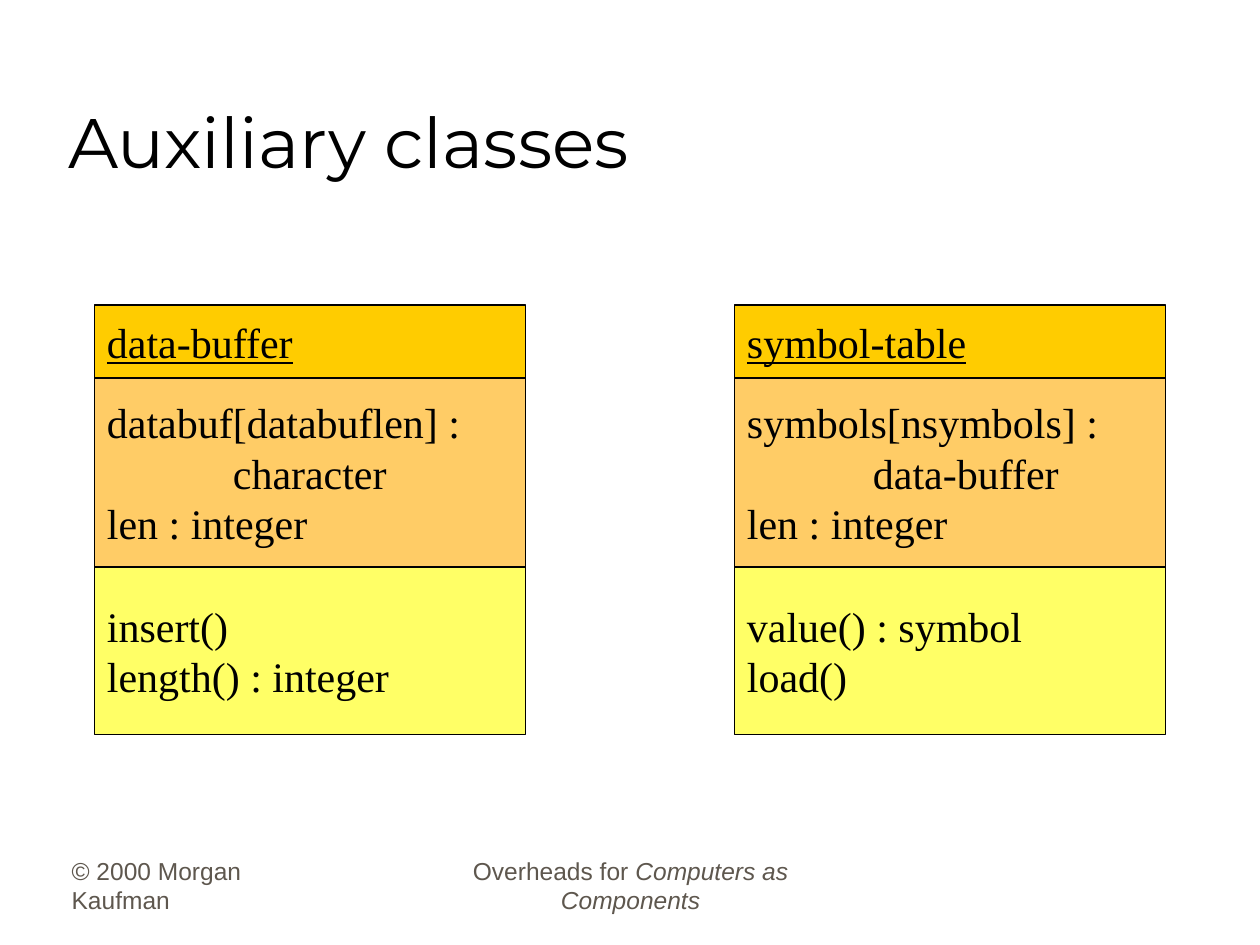
from pptx import Presentation
from pptx.dml.color import RGBColor
from pptx.enum.shapes import MSO_SHAPE as Shape
from pptx.enum.text import MSO_ANCHOR as Anchor, PP_ALIGN as Align
from pptx.util import Inches, Pt

TITLE = "Auxiliary classes"
# Each class: name, attributes, operations; a line is (text, indent in inches)
CLASSES = [
    ([("data-buffer", 0)],
     [("databuf[databuflen] :", 0), ("character", 1), ("len : integer", 0)],
     [("insert()", 0), ("length() : integer", 0)]),
    ([("symbol-table", 0)],
     [("symbols[nsymbols] :", 0), ("data-buffer", 1), ("len : integer", 0)],
     [("value() : symbol", 0), ("load()", 0)]),
]
# Footer: left, width, alignment, runs of (text, italic)
FOOTERS = [
    (0.47, 2.08, Align.LEFT, [("© 2000 Morgan Kaufman", False)]),
    (3.42, 3.17, Align.CENTER,
     [("Overheads for ", False), ("Computers as Components", True)]),
]
SECTIONS = [("FFCC00", 0.58), ("FFCC66", 1.5), ("FFFF66", 1.33)]  # fill, height
CLASS_LEFT, CLASS_TOP, CLASS_WIDTH, CLASS_STEP = 0.75, 2.42, 3.42, 5.08
FOOTER_TOP, FOOTER_HEIGHT = 6.81, 0.5


def color(hex_value):
    return RGBColor.from_string(hex_value)


def set_font(font, name, size, hex_value):
    font.name, font.size = name, Pt(size)
    font.color.rgb = color(hex_value)


def add_section(slide, box, fill, lines, is_name):
    section = slide.shapes.add_shape(Shape.RECTANGLE, *map(Inches, box))
    section.shadow.inherit = False
    section.fill.solid()
    section.fill.fore_color.rgb = color(fill)
    section.line.color.rgb = color("000000")
    section.line.width = Pt(0.75)
    frame = section.text_frame
    frame.word_wrap = True
    frame.vertical_anchor = Anchor.MIDDLE
    for row, (text, indent) in enumerate(lines):
        member = frame.add_paragraph() if row else frame.paragraphs[0]
        member.text = text
        member.alignment = Align.LEFT
        member.line_spacing = Pt(28.8)
        if indent:
            member._p.get_or_add_pPr().set("marL", str(Inches(indent)))
        set_font(member.font, "Times New Roman", 24, "000000")
        if is_name:
            member.font.underline = True


def add_class(slide, left, sections):
    top = CLASS_TOP
    for row, ((fill, height), lines) in enumerate(zip(SECTIONS, sections)):
        box = (left, top, CLASS_WIDTH, height)
        add_section(slide, box, fill, lines, is_name=row == 0)
        top += height


def add_footer(slide, left, width, alignment, runs):
    box = (left, FOOTER_TOP, width, FOOTER_HEIGHT)
    frame = slide.shapes.add_textbox(*map(Inches, box)).text_frame
    frame.word_wrap = True
    frame.vertical_anchor = Anchor.BOTTOM
    credit = frame.paragraphs[0]
    credit.alignment = alignment
    set_font(credit.font, "Arial", 14, "5E574E")
    for text, italic in runs:
        run = credit.add_run()
        run.text = text
        if italic:
            run.font.italic = True


def main():
    deck = Presentation()
    deck.slide_width, deck.slide_height = Inches(10), Inches(7.5)
    slide = deck.slides.add_slide(deck.slide_layouts[5])

    title = slide.shapes.title
    title.left, title.top = Inches(0.44), Inches(0.25)
    title.width, title.height = Inches(8.5), Inches(1.25)
    title.text_frame.text = TITLE
    title.text_frame.vertical_anchor = Anchor.BOTTOM
    heading = title.text_frame.paragraphs[0]
    heading.alignment = Align.LEFT
    set_font(heading.font, "Montserrat", 40, "000000")

    for footer in FOOTERS:
        add_footer(slide, *footer)
    for column, sections in enumerate(CLASSES):
        add_class(slide, CLASS_LEFT + column * CLASS_STEP, sections)
    deck.save("out.pptx")


if __name__ == "__main__":
    main()
